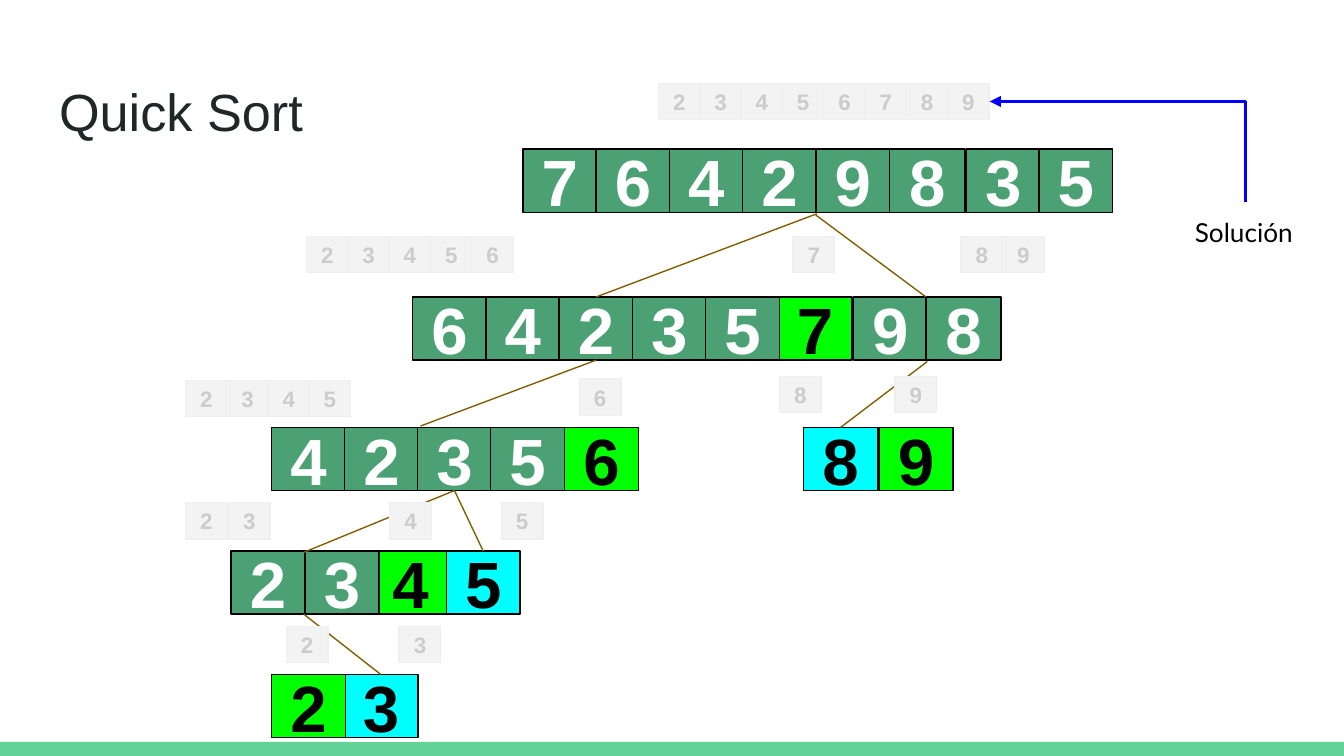
from dataclasses import dataclass

from lxml import etree
from pptx import Presentation, util as u
from pptx.dml.color import RGBColor
from pptx.enum import shapes, text
from pptx.oxml import ns


@dataclass(frozen=True)
class Theme:
    font: str = "Arial"
    label_font: str = "Lato"
    title: str = "202729"
    label: str = "000000"
    band: str = "63D297"
    branch: str = "7F6000"
    arrow: str = "0000FF"
    title_size: int = 28
    label_size: int = 14
    thin: float = 0.75
    thick: float = 1.5


@dataclass(frozen=True)
class CellStyle:
    fill: str
    line: str
    color: str
    size: int
    width: float
    height: float


THEME = Theme()
STYLES = {
    "pending": CellStyle("4BA173", "000000", "FFFFFF", 35, 0.55, 0.47),
    "wide": CellStyle("4BA173", "000000", "FFFFFF", 35, 0.56, 0.47),
    "pivot": CellStyle("00FF00", "000000", "000000", 35, 0.55, 0.47),
    "single": CellStyle("00FFFF", "000000", "000000", 35, 0.55, 0.47),
    "sorted": CellStyle("F3F3F3", "EFEFEF", "CCCCCC", 12, 0.31, 0.27),
}

# Top of each recursion level
LEVEL_TOPS = [1.11, 2.21, 3.18, 4.1, 5.02]

# Level, digits, left of first cell, left of last cell, style
PARTITIONS = [
    (0, "76429", 3.89, 6.07, "pending"),
    (0, "8", 6.62, 6.62, "wide"),
    (0, "35", 7.19, 7.73, "pending"),
    (1, "7", 5.79, 5.79, "pivot"),
    (1, "64235", 3.07, 5.25, "pending"),
    (1, "9", 6.35, 6.35, "pending"),
    (1, "8", 6.89, 6.89, "wide"),
    (2, "6", 4.2, 4.2, "pivot"),
    (2, "4235", 2.02, 3.65, "pending"),
    (2, "8", 5.98, 5.98, "single"),
    (2, "9", 6.54, 6.54, "pivot"),
    (3, "4", 2.78, 2.78, "pivot"),
    (3, "23", 1.72, 2.27, "pending"),
    (3, "5", 3.32, 3.32, "single"),
    (4, "3", 2.56, 2.56, "single"),
    (4, "2", 2.02, 2.02, "pivot"),
]

# Top, digits, left of first cell, left of last cell
SORTED_RUNS = [
    (0.62, "23456789", 4.9, 7.05),
    (1.76, "23456", 2.28, 3.51),
    (1.76, "7", 5.9, 5.9),
    (1.76, "89", 7.15, 7.46),
    (2.83, "2345", 1.38, 2.3),
    (2.82, "6", 4.31, 4.31),
    (2.8, "8", 5.8, 5.8),
    (2.8, "9", 6.66, 6.66),
    (3.74, "23", 1.38, 1.7),
    (3.74, "4", 2.9, 2.9),
    (3.74, "5", 3.73, 3.73),
    (4.66, "2", 2.13, 2.13),
    (4.66, "3", 2.97, 2.97),
]

# Start, end, cell joined at its bottom, cell joined at its top
BRANCHES = [
    ((6.08, 1.59), (4.43, 2.21), None, (1, "2")),
    ((6.07, 1.6), (6.89, 2.21), None, None),
    ((3.38, 3.65), (2.26, 4.11), (2, "3"), None),
    ((3.38, 3.65), (3.6, 4.1), (2, "3"), (3, "5")),
    ((4.43, 2.68), (3.13, 3.17), (1, "2"), None),
    ((6.9, 2.69), (6.26, 3.18), None, (2, "8")),
    ((2.26, 4.57), (2.83, 5.02), None, (4, "3")),
]


def write(shape, content, align, anchor, **font_values):
    """Put one formatted paragraph in a shape."""
    frame = shape.text_frame
    frame_format = {"word_wrap": True, "auto_size": text.MSO_AUTO_SIZE.NONE,
                    "vertical_anchor": anchor}
    for side in ("left", "top", "right", "bottom"):
        frame_format[f"margin_{side}"] = u.Inches(0.1)
    for name, value in frame_format.items():
        setattr(frame, name, value)
    paragraph = frame.paragraphs[0]
    paragraph.alignment = align
    run = paragraph.add_run()
    run.text = content
    run.font.color.rgb = RGBColor.from_string(font_values.pop("color"))
    for name, value in font_values.items():
        setattr(run.font, name, value)


def add_rectangle(slide, left, top, width, height, fill, line=None):
    shape = slide.shapes.add_shape(
        shapes.MSO_SHAPE.RECTANGLE,
        *map(u.Inches, (left, top, width, height)))
    shape.shadow.inherit = False
    shape.fill.solid()
    shape.fill.fore_color.rgb = RGBColor.from_string(fill)
    if line:
        shape.line.color.rgb = RGBColor.from_string(line)
        shape.line.width = u.Pt(THEME.thin)
    else:
        shape.line.fill.background()
    return shape


def add_cells(slide, top, digits, first, last, style):
    """Spread cells evenly from first to last; return them by digit."""
    pitch = (last - first) / max(len(digits) - 1, 1)
    cells = {}
    for index, digit in enumerate(digits):
        cell = add_rectangle(slide, first + index * pitch, top, style.width,
                             style.height, style.fill, style.line)
        write(cell, digit, text.PP_ALIGN.CENTER, text.MSO_ANCHOR.MIDDLE,
              name=THEME.font, size=u.Pt(style.size), bold=True,
              color=style.color)
        cells[digit] = cell
    return cells


def add_line(slide, kind, start, end, color, width):
    connector = slide.shapes.add_connector(
        kind, *map(u.Inches, (*start, *end)))
    connector.line.color.rgb = RGBColor.from_string(color)
    connector.line.width = u.Pt(width)
    etree.SubElement(connector._element.spPr, ns.qn("a:effectLst"))
    return connector


def add_solution_arrow(slide):
    """One-bend arrow that goes up from the label, then left."""
    connector = add_line(slide, shapes.MSO_CONNECTOR.ELBOW, (8.69, 0.18),
                         (7.94, 2.08), THEME.arrow, THEME.thick)
    properties = connector._element.spPr
    properties.find(ns.qn("a:prstGeom")).set("prst", "bentConnector2")
    properties.find(ns.qn("a:xfrm")).set("rot", "5400000")
    etree.SubElement(properties.find(ns.qn("a:ln")), ns.qn("a:tailEnd"),
                     type="triangle")


def place(shape, left, top, width, height):
    bounds = {"left": left, "top": top, "width": width, "height": height}
    for name, value in bounds.items():
        setattr(shape, name, u.Inches(value))


def main():
    presentation = Presentation()
    presentation.slide_width = u.Inches(10)
    presentation.slide_height = u.Inches(10) * 9 // 16
    slide = presentation.slides.add_slide(presentation.slide_layouts[5])

    # Title and bottom band
    add_rectangle(slide, 0, 5.52, 10, 0.11, THEME.band)
    title = slide.shapes.title
    place(title, 0.34, 0.49, 2.13, 0.63)
    write(title, "Quick Sort", text.PP_ALIGN.LEFT, text.MSO_ANCHOR.TOP,
          name=THEME.font, size=u.Pt(THEME.title_size), color=THEME.title)

    # Partitions, level by level
    cells = {}
    for level, digits, first, last, kind in PARTITIONS:
        added = add_cells(slide, LEVEL_TOPS[level], digits, first, last,
                          STYLES[kind])
        cells.update({(level, digit): cell for digit, cell in added.items()})

    # Branches between levels
    for start, end, parent, child in BRANCHES:
        branch = add_line(slide, shapes.MSO_CONNECTOR.STRAIGHT, start, end,
                          THEME.branch, THEME.thin)
        if parent:
            branch.begin_connect(cells[parent], 2)
        if child:
            branch.end_connect(cells[child], 0)

    # Sorted results returned by each call
    for top, digits, first, last in SORTED_RUNS:
        add_cells(slide, top, digits, first, last, STYLES["sorted"])

    # Solution label and arrow
    label = slide.shapes.add_textbox(
        *map(u.Inches, (8.69, 1.51, 1.13, 0.41)))
    write(label, "Solución", text.PP_ALIGN.CENTER, text.MSO_ANCHOR.TOP,
          name=THEME.label_font, size=u.Pt(THEME.label_size),
          color=THEME.label)
    add_solution_arrow(slide)

    presentation.save("out.pptx")


if __name__ == "__main__":
    main()
